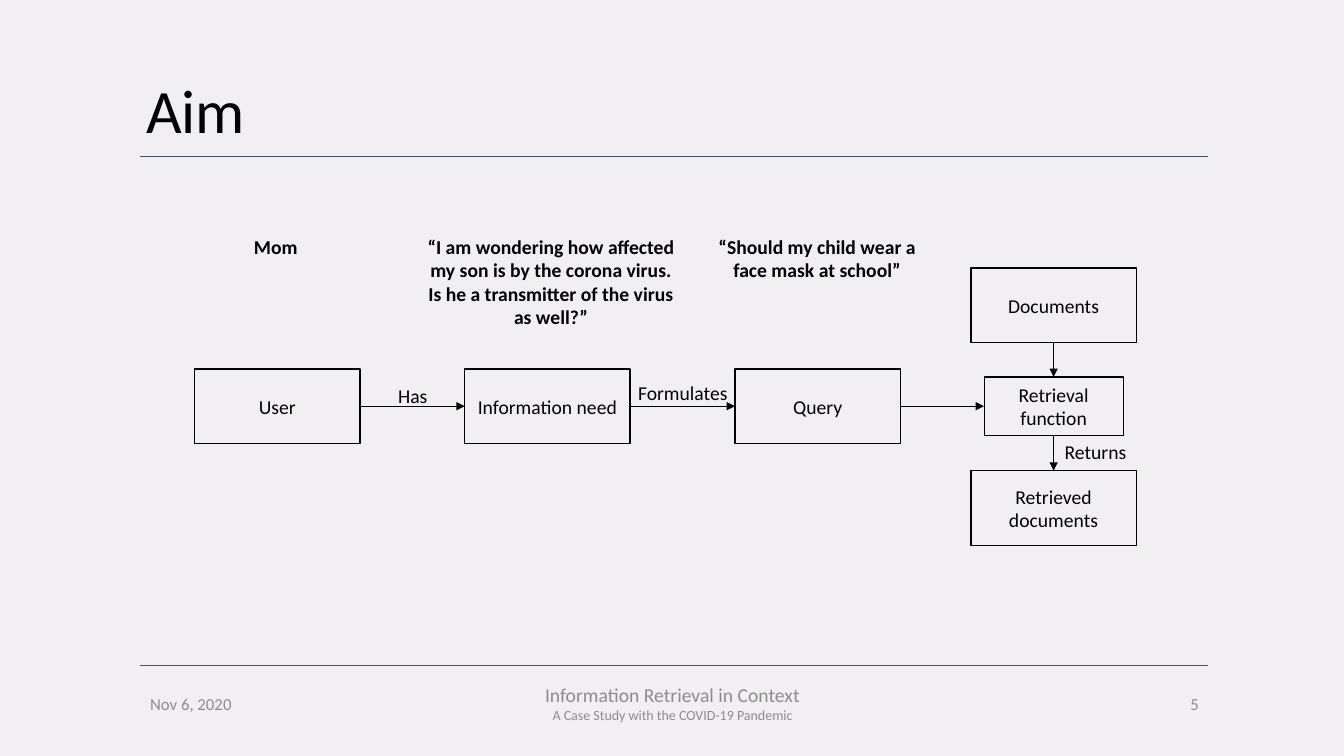
from dataclasses import dataclass

from lxml.etree import SubElement
from pptx import Presentation
from pptx.dml.color import RGBColor
from pptx.enum.shapes import MSO_CONNECTOR, MSO_SHAPE
from pptx.enum.text import MSO_ANCHOR, MSO_AUTO_SIZE, PP_ALIGN
from pptx.oxml.ns import qn
from pptx.shapes.autoshape import Shape
from pptx.shapes.connector import Connector
from pptx.slide import Slide
from pptx.text.text import TextFrame
from pptx.util import Inches, Pt

FONT = "Calibri"
BLACK = "000000"
GREY = "8C8C8C"
RULE_COLOR = "44546A"
TOP, LEFT, BOTTOM, RIGHT = range(4)

BOX_WIDTH, BOX_HEIGHT = 1.64, 0.74
FLOW_LEFT, FLOW_TOP, FLOW_STEP = 1.93, 3.66, 2.68
RESULT_LEFT = 9.63


@dataclass
class Box:
    text: str
    left: float
    top: float
    width: float = BOX_WIDTH
    height: float = BOX_HEIGHT
    line_width: float = 1


@dataclass
class Label:
    text: str
    left: float
    top: float
    width: float
    height: float = 0.34
    size: float = 14
    color: str = BLACK
    bold: bool = False
    align: PP_ALIGN = PP_ALIGN.LEFT
    anchor: MSO_ANCHOR = MSO_ANCHOR.TOP
    wrap: bool = True


@dataclass
class Arrow:
    start: str
    start_side: int
    end: str
    end_side: int
    kind: MSO_CONNECTOR


BOXES = [
    *(Box(text, FLOW_LEFT + index * FLOW_STEP, FLOW_TOP)
      for index, text in enumerate(["User", "Information need", "Query"])),
    Box("Documents", RESULT_LEFT, 2.66),
    Box("Retrieval function", 9.76, 3.74, 1.38, 0.58, 0.75),
    Box("Retrieved documents", RESULT_LEFT, 4.67),
]

ARROWS = [
    Arrow("User", RIGHT, "Information need", LEFT, MSO_CONNECTOR.ELBOW),
    Arrow("Information need", RIGHT, "Query", LEFT, MSO_CONNECTOR.ELBOW),
    Arrow("Query", RIGHT, "Retrieval function", LEFT, MSO_CONNECTOR.ELBOW),
    Arrow("Documents", BOTTOM, "Retrieval function", TOP, MSO_CONNECTOR.STRAIGHT),
    Arrow("Retrieval function", BOTTOM, "Retrieved documents", TOP, MSO_CONNECTOR.STRAIGHT),
]

LABELS = [
    Label("Mom", 2.42, 2.28, 0.67, bold=True),
    Label("“I am wondering how affected my son is by the corona virus. "
          "Is he a transmitter of the virus as well?”",
          4.1, 2.28, 2.73, 1.04, bold=True, align=PP_ALIGN.CENTER),
    Label("“Should my child wear a face mask at school”",
          6.92, 2.28, 2.37, 0.57, bold=True, align=PP_ALIGN.CENTER),
    Label("Has", 3.85, 3.76, 0.5, wrap=False),
    Label("Formulates", 6.23, 3.73, 1.15),
    Label("Returns", 10.46, 4.32, 0.82, wrap=False),
    Label("Nov 6, 2020", 1.39, 6.78, 2.53, 0.4, 12, GREY, anchor=MSO_ANCHOR.MIDDLE),
    Label("5", 9.42, 6.78, 2.57, 0.4, 12, GREY, align=PP_ALIGN.RIGHT,
          anchor=MSO_ANCHOR.MIDDLE),
]
FOOTER = Label("Information Retrieval in Context", 4.42, 6.78, 4.5, 0.4, 14, GREY,
               align=PP_ALIGN.CENTER, anchor=MSO_ANCHOR.MIDDLE)


def rgb(color: str) -> RGBColor:
    return RGBColor.from_string(color)


def write(frame: TextFrame, text: str, *, size: float = 14, color: str = BLACK,
          bold: bool = False, align: PP_ALIGN = PP_ALIGN.CENTER,
          anchor: MSO_ANCHOR = MSO_ANCHOR.MIDDLE, wrap: bool = True) -> None:
    """Fill a frame with one formatted paragraph."""
    frame.word_wrap = wrap
    frame.vertical_anchor = anchor
    frame.auto_size = MSO_AUTO_SIZE.NONE
    add_text(frame.paragraphs[0], text, size, color, bold, align)


def add_text(paragraph, text: str, size: float, color: str, bold: bool,
             align: PP_ALIGN) -> None:
    paragraph.alignment = align
    run = paragraph.add_run()
    run.text = text
    run.font.name = FONT
    run.font.size = Pt(size)
    run.font.bold = bold
    run.font.color.rgb = rgb(color)


def add_box(slide: Slide, box: Box) -> Shape:
    shape = slide.shapes.add_shape(MSO_SHAPE.RECTANGLE, Inches(box.left), Inches(box.top),
                                   Inches(box.width), Inches(box.height))
    shape.shadow.inherit = False
    shape.fill.background()
    shape.line.color.rgb = rgb(BLACK)
    shape.line.width = Pt(box.line_width)
    write(shape.text_frame, box.text)
    return shape


def add_label(slide: Slide, label: Label) -> TextFrame:
    shape = slide.shapes.add_textbox(Inches(label.left), Inches(label.top),
                                     Inches(label.width), Inches(label.height))
    write(shape.text_frame, label.text, size=label.size, color=label.color, bold=label.bold,
          align=label.align, anchor=label.anchor, wrap=label.wrap)
    return shape.text_frame


def style_line(connector: Connector, color: str) -> None:
    connector.line.color.rgb = rgb(color)
    connector.line.width = Pt(1)
    SubElement(connector._element.spPr, qn("a:effectLst"))


def add_rule(slide: Slide, top: float) -> None:
    """Draw a horizontal line across the content width."""
    rule = slide.shapes.add_connector(MSO_CONNECTOR.STRAIGHT, Inches(1.39), Inches(top),
                                      Inches(11.98), Inches(top))
    style_line(rule, RULE_COLOR)


def add_arrow(slide: Slide, arrow: Arrow, boxes: dict[str, Shape]) -> None:
    connector = slide.shapes.add_connector(arrow.kind, 0, 0, 0, 0)
    connector.begin_connect(boxes[arrow.start], arrow.start_side)
    connector.end_connect(boxes[arrow.end], arrow.end_side)
    style_line(connector, BLACK)
    SubElement(connector.line._get_or_add_ln(), qn("a:tailEnd"), type="triangle")


def set_background(slide: Slide) -> None:
    fill = slide.background.fill
    fill.solid()
    fill.fore_color.rgb = rgb("EFECF1")
    color = slide.background._cSld.find(".//" + qn("a:srgbClr"))
    SubElement(color, qn("a:alpha"), val="80000")


def add_title(slide: Slide, text: str) -> None:
    title = slide.shapes.title
    title.left, title.top = Inches(1.35), Inches(0.4)
    title.width, title.height = Inches(11.07), Inches(1.45)
    write(title.text_frame, text, size=44, align=PP_ALIGN.LEFT)
    title.text_frame.paragraphs[0].line_spacing = 0.9


def main() -> None:
    presentation = Presentation()
    presentation.slide_width = Inches(13.33)
    presentation.slide_height = Inches(7.5)
    slide = presentation.slides.add_slide(presentation.slide_layouts.get_by_name("Title Only"))

    set_background(slide)
    add_title(slide, "Aim")
    for top in (1.55, 6.6):
        add_rule(slide, top)

    boxes = {box.text: add_box(slide, box) for box in BOXES}
    for arrow in ARROWS:
        add_arrow(slide, arrow, boxes)
    for label in LABELS:
        add_label(slide, label)

    footer = add_label(slide, FOOTER)
    add_text(footer.add_paragraph(), "A Case Study with the COVID-19 Pandemic", 10, GREY,
             False, PP_ALIGN.CENTER)

    presentation.save("out.pptx")


if __name__ == "__main__":
    main()
